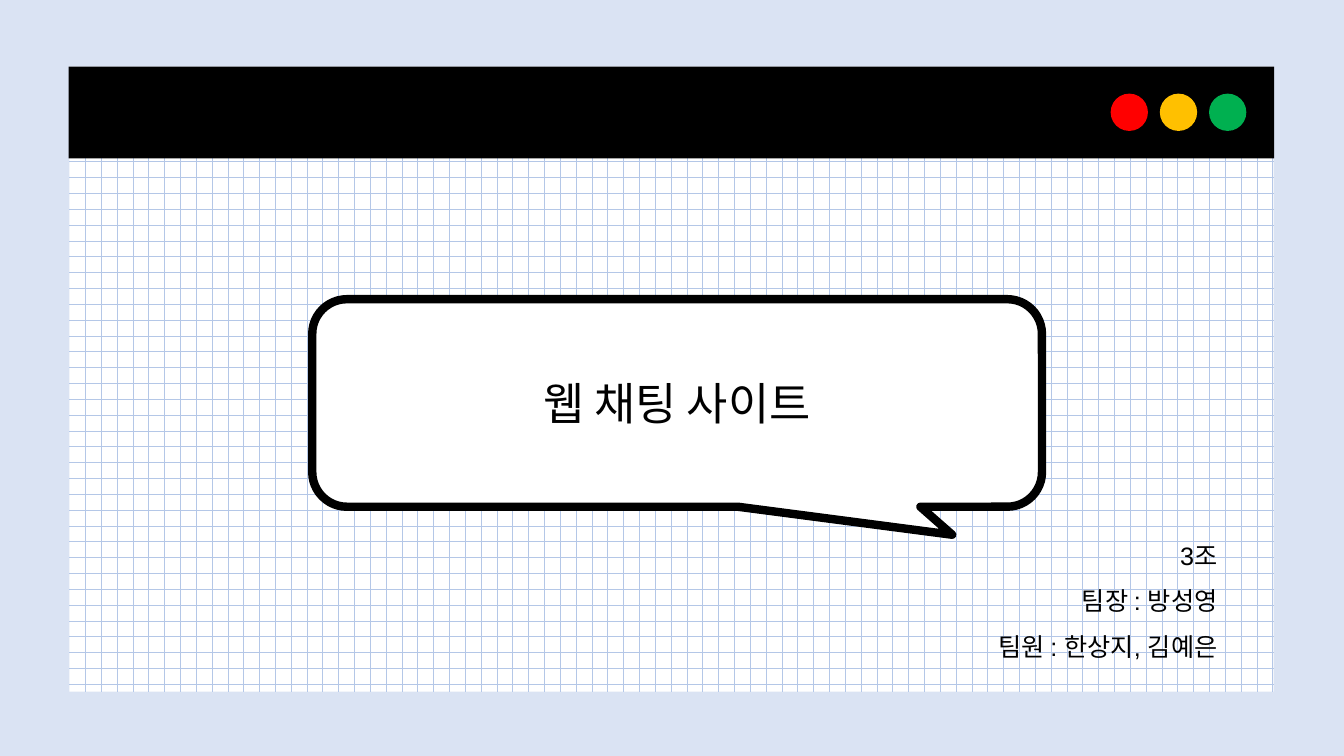
from dataclasses import dataclass

import pptx
import pptx.dml.color
import pptx.enum.dml
import pptx.enum.shapes
import pptx.enum.text
import pptx.oxml
import pptx.oxml.ns
import pptx.shapes.autoshape
import pptx.slide
import pptx.util
from pptx.util import Cm

COLORS = {
    "backdrop": "DAE3F3",
    "grid": "B4C7E7",
    "white": "FFFFFF",
    "black": "000000",
    "red": "FF0000",
    "amber": "FFC000",
    "green": "00B050",
}
HANGUL_FONT = "Noto Sans CJK KR"
SHAPES = pptx.enum.shapes.MSO_SHAPE
ALIGN = pptx.enum.text.PP_ALIGN

TITLE_FONT = {"name": HANGUL_FONT, "size": pptx.util.Pt(32)}
TEAM_FONT = {"name": "Arial", "size": pptx.util.Pt(18)}
TITLE_PARA = {"alignment": ALIGN.CENTER}
TEAM_PARA = {"alignment": ALIGN.RIGHT, "line_spacing": 1.5}

TEAM_LINES = ["3조", "팀장 : 방성영", "팀원 : 한상지, 김예은"]


@dataclass
class Box:
    """Place and size in centimetres."""
    left: float
    top: float
    width: float
    height: float

    def lengths(self) -> list[pptx.util.Length]:
        return [Cm(v) for v in (self.left, self.top, self.width, self.height)]


WINDOW = Box(1.75, 1.68, 30.35, 15.75)
TITLE_BAR = Box(1.73, 1.68, 30.38, 2.31)
BUBBLE = Box(7.87, 7.54, 18.39, 5.23)
TEAM = Box(20.8, 13.11, 10.13, 3.58)
FIRST_BUTTON = Box(27.99, 2.36, 0.94, 0.94)
BUTTON_STEP = 1.24
BUTTON_COLORS = ["red", "amber", "green"]


def rgb(name: str) -> pptx.dml.color.RGBColor:
    return pptx.dml.color.RGBColor.from_string(COLORS[name])


def apply_format(target: object, values: dict) -> None:
    for name, value in values.items():
        setattr(target, name, value)


def add_figure(page: pptx.slide.Slide, kind: int, box: Box,
               color: str) -> pptx.shapes.autoshape.Shape:
    figure = page.shapes.add_shape(kind, *box.lengths())
    figure.shadow.inherit = False
    figure.fill.solid()
    figure.fill.fore_color.rgb = rgb(color)
    figure.line.fill.background()
    return figure


def add_soft_shadow(figure: pptx.shapes.autoshape.Shape) -> None:
    effects = figure.element.spPr.find(pptx.oxml.ns.qn("a:effectLst"))
    effects.append(pptx.oxml.parse_xml(
        f'<a:outerShdw {pptx.oxml.ns.nsdecls("a")} blurRad="25400" dist="12700" '
        'dir="2700000" algn="tl" rotWithShape="0">'
        f'<a:srgbClr val="{COLORS["black"]}"><a:alpha val="40000"/></a:srgbClr>'
        '</a:outerShdw>'))


def write_lines(shape: pptx.shapes.autoshape.Shape, lines: list[str],
                para_format: dict, font_format: dict) -> None:
    frame = shape.text_frame
    frame.word_wrap = True
    for index, line in enumerate(lines):
        para = frame.add_paragraph() if index else frame.paragraphs[0]
        apply_format(para, para_format)
        span = para.add_run()
        span.text = line
        apply_format(span.font, font_format)
        span.font.color.rgb = rgb("black")
        # Hangul takes the East Asian typeface
        latin = span.font._element.find(pptx.oxml.ns.qn("a:latin"))
        latin.addnext(pptx.oxml.parse_xml(
            f'<a:ea {pptx.oxml.ns.nsdecls("a")} typeface="{HANGUL_FONT}"/>'))


def add_window(page: pptx.slide.Slide) -> None:
    # Grid paper
    paper = add_figure(page, SHAPES.RECTANGLE, WINDOW, "white")
    paper.fill.patterned()
    paper.fill.pattern = pptx.enum.dml.MSO_PATTERN.DOTTED_GRID
    paper.fill.fore_color.rgb = rgb("grid")
    paper.fill.back_color.rgb = rgb("white")

    # Title bar and its buttons
    add_figure(page, SHAPES.RECTANGLE, TITLE_BAR, "black")
    for index, color in enumerate(BUTTON_COLORS):
        place = Box(FIRST_BUTTON.left + index * BUTTON_STEP, FIRST_BUTTON.top,
                    FIRST_BUTTON.width, FIRST_BUTTON.height)
        add_soft_shadow(add_figure(page, SHAPES.OVAL, place, color))


def add_bubble(page: pptx.slide.Slide) -> None:
    bubble = add_figure(page, SHAPES.ROUNDED_RECTANGULAR_CALLOUT, BUBBLE, "white")
    for index, value in enumerate((0.377, 0.635, 0.167)):
        bubble.adjustments[index] = round(value, 3)
    bubble.line.color.rgb = rgb("black")
    bubble.line.width = pptx.util.Pt(6)
    bubble.text_frame.vertical_anchor = pptx.enum.text.MSO_ANCHOR.MIDDLE
    write_lines(bubble, ["웹 채팅 사이트"], TITLE_PARA, TITLE_FONT)


def main() -> None:
    deck = pptx.Presentation()
    apply_format(deck, {"slide_width": Cm(33.87), "slide_height": Cm(19.05)})
    page = deck.slides.add_slide(deck.slide_layouts[6])
    page.background.fill.solid()
    page.background.fill.fore_color.rgb = rgb("backdrop")

    add_window(page)
    add_bubble(page)

    # Team members
    team = page.shapes.add_textbox(*TEAM.lengths())
    write_lines(team, TEAM_LINES, TEAM_PARA, TEAM_FONT)
    team.text_frame.auto_size = pptx.enum.text.MSO_AUTO_SIZE.SHAPE_TO_FIT_TEXT

    deck.save("out.pptx")


if __name__ == "__main__":
    main()
